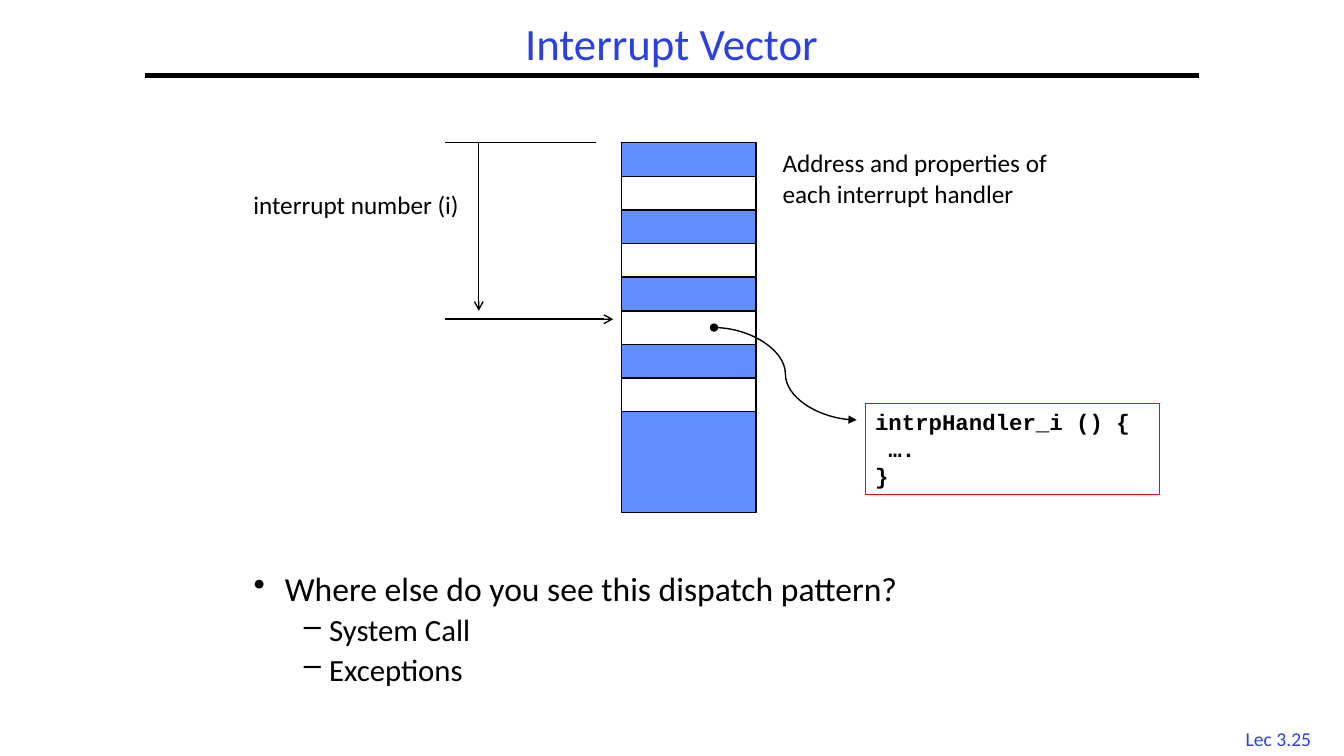
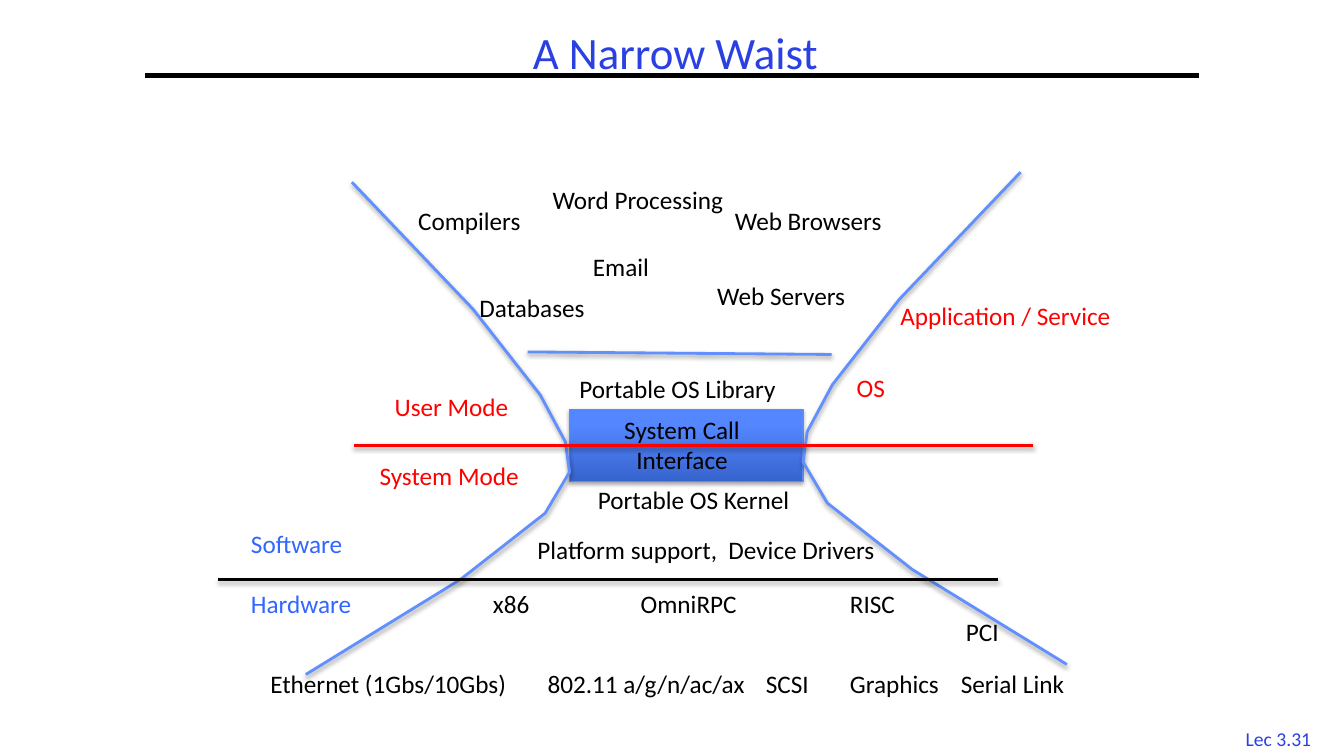
from lxml import etree
from pptx import Presentation
from pptx.dml.color import RGBColor
from pptx.enum.shapes import MSO_CONNECTOR, MSO_SHAPE
from pptx.enum.text import MSO_ANCHOR, PP_ALIGN
from pptx.oxml.ns import qn
from pptx.util import Emu, Inches, Pt

LEFT, CENTER, RIGHT = PP_ALIGN.LEFT, PP_ALIGN.CENTER, PP_ALIGN.RIGHT
TOP, MIDDLE = MSO_ANCHOR.TOP, MSO_ANCHOR.MIDDLE
STRAIGHT, CURVE = MSO_CONNECTOR.STRAIGHT, MSO_CONNECTOR.CURVE
RECT = MSO_SHAPE.RECTANGLE

COLORS = {
    "title": "2A40E2", "text": "000000", "white": "FFFFFF", "blue": "618FFD",
    "layer": "3366FF", "red": "FF0000", "call_dark": "3764CE",
    "call_light": "5487FF", "call_edge": "5B8AFB",
}
COLS, ROWS = 160, 90


def rgb(name):
    return RGBColor.from_string(COLORS[name])


class Deck:
    """Style and current slide; lengths are columns and rows of a 160 x 90 grid."""

    def __init__(self):
        self.prs = Presentation()
        self.prs.slide_width, self.prs.slide_height = Inches(13.33), Inches(7.5)

    def grid(self, *lengths):
        """Turn alternating columns and rows into EMU."""
        steps = (self.prs.slide_width / COLS, self.prs.slide_height / ROWS)
        return [Emu(round(n * steps[i % 2])) for i, n in enumerate(lengths)]

    def new_slide(self, title, number, title_box):
        self.s = self.prs.slides.add_slide(self.prs.slide_layouts[6])
        self.text([f"Lec {number}"], 146.4, 85.9, 11.6, 4, size=14,
                  color="title", align=CENTER)
        self.line(17.3, 9, 142.7, 9, width=3)
        self.text([title], *title_box, size=32, color="title", align=CENTER,
                  anchor=MIDDLE, spacing=0.9)

    def add_lines(self, tf, lines, size=18, color="text", font="Calibri", bold=False,
                  align=LEFT, anchor=TOP, spacing=None):
        tf.word_wrap = True
        tf.vertical_anchor = anchor
        for i, line in enumerate(lines):
            p = tf.paragraphs[0] if i == 0 else tf.add_paragraph()
            p.alignment = align
            p.line_spacing = spacing
            r = p.add_run()
            r.text = line
            r.font.name, r.font.size, r.font.bold = font, Pt(size), bold
            r.font.color.rgb = rgb(color)

    def text(self, lines, col, row, cols, rows=4.8, **style):
        box = self.s.shapes.add_textbox(*self.grid(col, row, cols, rows))
        self.add_lines(box.text_frame, lines, **style)
        return box.text_frame

    def bullets(self, items, *box):
        """Add (level, text) items with a bullet or a dash."""
        kinds = [("•", 24, 0.31, -0.31), ("–", 22, 0.75, -0.25)]
        tf = self.text([text for _, text in items], *box, spacing=0.8)
        for p, (level, _) in zip(tf.paragraphs, items):
            mark, size, margin, indent = kinds[level]
            p.level, p.space_before = level, Pt(7)
            p.runs[0].font.size = Pt(size)
            pPr = p._p.get_or_add_pPr()
            pPr.set("marL", str(Inches(margin)))
            pPr.set("indent", str(Inches(indent)))
            etree.SubElement(pPr, qn("a:buChar"), char=mark)

    def finish(self, shape, color, width, shadow=0):
        """Set the outline, and a shadow of the given opacity in percent."""
        shape.line.color.rgb = rgb(color)
        shape.line.width = Pt(width)
        effects = etree.SubElement(shape._element.spPr, qn("a:effectLst"))
        if shadow:
            outer = etree.SubElement(effects, qn("a:outerShdw"), blurRad="40000",
                                     dist="20000", dir="5400000", rotWithShape="0")
            black = etree.SubElement(outer, qn("a:srgbClr"), val=COLORS["text"])
            etree.SubElement(black, qn("a:alpha"), val=str(shadow * 1000))

    def line(self, *ends, color="text", width=1, shadow=0, kind=STRAIGHT,
             head=None, tail=None):
        line = self.s.shapes.add_connector(kind, *self.grid(*ends))
        self.finish(line, color, width, shadow)
        for tag, arrow in (("a:headEnd", head), ("a:tailEnd", tail)):
            if arrow:
                etree.SubElement(line.line._get_or_add_ln(), qn(tag), type=arrow)

    def rect(self, *box, fill=None, gradient=None, line="text", width=1, shadow=0):
        shape = self.s.shapes.add_shape(RECT, *self.grid(*box))
        if gradient:
            shape.fill.gradient()
            shape.fill.gradient_angle = 90
            for stop, name, position in zip(shape.fill.gradient_stops, gradient, (0, 0.8)):
                stop.color.rgb, stop.position = rgb(name), position
        elif fill:
            shape.fill.solid()
            shape.fill.fore_color.rgb = rgb(fill)
        else:
            shape.fill.background()
        self.finish(shape, line, width, shadow)
        return shape.text_frame

    def outline(self, points, color, width, shadow):
        """Draw an open line through the grid points."""
        start, *rest = [self.grid(*point) for point in points]
        builder = self.s.shapes.build_freeform(*start)
        builder.add_line_segments(rest, close=False)
        shape = builder.convert_to_shape()
        shape.fill.background()
        self.finish(shape, color, width, shadow)


def interrupt_vector(deck):
    deck.new_slide("Interrupt Vector", "3.25", (17.3, 2, 125.3, 7))
    deck.bullets([(0, "Where else do you see this dispatch pattern?"),
                  (1, "System Call"), (1, "Exceptions")], 29, 68, 100, 15)

    deck.rect(74, 17, 16, 44, fill="blue")
    for row in range(21, 46, 8):
        deck.rect(74, row, 16, 4, fill="white")

    deck.line(71, 17, 53, 17)
    deck.line(57, 17, 57, 37, tail="arrow")
    deck.line(53, 38, 73, 38, tail="arrow")
    deck.line(85, 39, 102, 50, kind=CURVE, head="oval", tail="triangle")

    deck.text(["interrupt number (i)"], 22, 22, 33.8, align=RIGHT)
    deck.text(["Address and properties of each interrupt handler"], 92, 17, 36, 8.5)
    handler = deck.rect(103, 48, 35, 10.9, line="red", width=0.75)
    deck.add_lines(handler, ["intrpHandler_i () {", " ….", "}"], size=16,
                   font="Courier New", bold=True)


def narrow_waist(deck):
    deck.new_slide("A Narrow Waist", "3.31", (28.7, 1, 103.4, 11))
    deck.rect(67.8, 48.7, 27.8, 8.6, gradient=("call_dark", "call_light"),
              line="call_edge", width=0.75, shadow=35)
    deck.text(["System Call", "Interface"], 71.5, 48.7, 19.4, 8.5, align=CENTER)

    hardware_row, devices_row = 69.5, 79
    labels = {
        "text": [
            ("Compilers", 48.6, 23.8, 16), ("Web Servers", 84.2, 32.8, 20),
            ("Web Browsers", 86.3, 23.8, 22), ("Databases", 55.9, 34.2, 17),
            ("Email", 69.4, 29.3, 10), ("Word Processing", 64.6, 21.4, 25.4),
            ("Portable OS Library", 67.8, 43.8, 29),
            ("Portable OS Kernel", 70, 57.1, 28.6),
            ("Platform support,  Device Drivers", 62.8, 63, 46.8),
            ("x86", 57.5, hardware_row, 8), ("OmniRPC", 75.1, hardware_row, 16),
            ("RISC", 100, hardware_row, 10), ("PCI", 113.8, 72.8, 8),
            ("Ethernet (1Gbs/10Gbs)", 31, devices_row, 33.7),
            ("802.11 a/g/n/ac/ax", 64, devices_row, 27.1),
            ("SCSI", 90, devices_row, 9.5), ("Graphics", 100, devices_row, 14.5),
            ("Serial Link", 113.2, devices_row, 18.6),
        ],
        "layer": [("Hardware", 28.7, hardware_row, 15.6), ("Software", 28.7, 62.3, 14.4)],
        "red": [
            ("System Mode", 44, 54.2, 20.9), ("User Mode", 45.8, 46, 17.3),
            ("OS", 100.8, 43.7, 7), ("Application / Service", 106, 35.2, 29.9),
        ],
    }
    for color, group in labels.items():
        for label, *box in group:
            deck.text([label], *box, color=color)

    left_side = [(41.9, 21.7), (56.3, 36.8), (64.3, 47), (67.3, 52.6),
                 (67.8, 56.2), (64.9, 61.1), (54.8, 69), (36.4, 80.3)]
    right_side = [(163.4 - col, row - 1.2) for col, row in left_side]
    for side in (left_side, right_side):
        deck.outline(side, "blue", 2, 38)
    for color, *ends in (("blue", 62.8, 41.9, 99, 42.2), ("text", 26, 69, 118.8, 69),
                         ("red", 42.1, 53, 123, 53)):
        deck.line(*ends, color=color, width=2, shadow=38)


def main():
    deck = Deck()
    interrupt_vector(deck)
    narrow_waist(deck)
    deck.prs.save("out.pptx")


if __name__ == "__main__":
    main()
